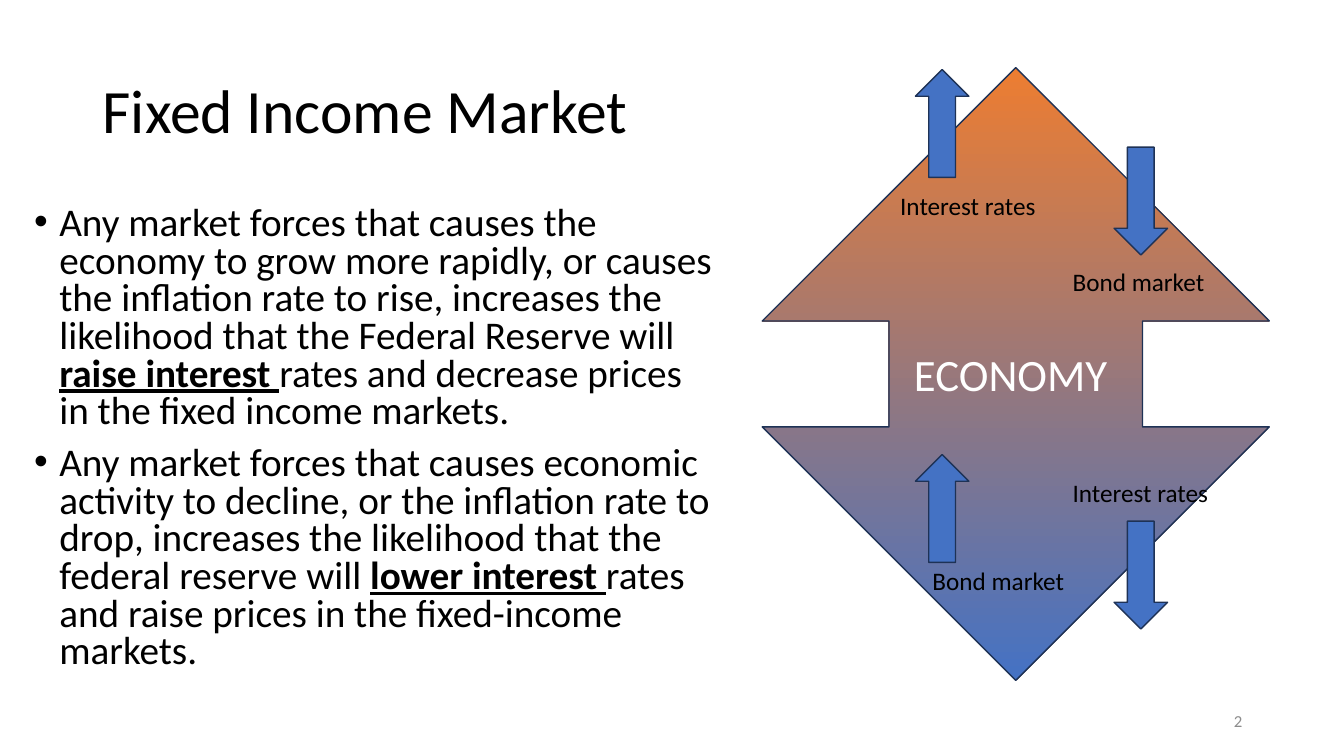
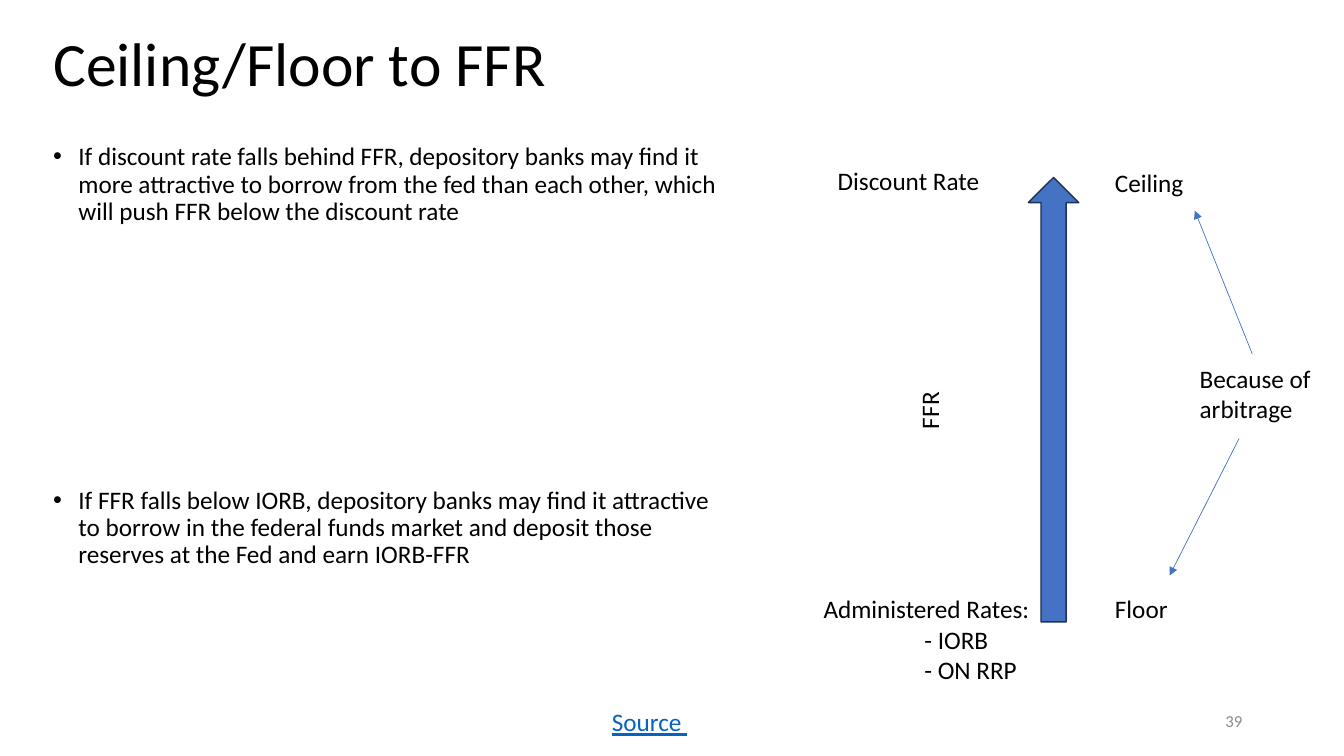
from pptx import Presentation
from pptx.dml.color import RGBColor
from pptx.enum.shapes import MSO_CONNECTOR, MSO_SHAPE
from pptx.enum.text import MSO_ANCHOR, MSO_AUTO_SIZE, PP_ALIGN
from pptx.oxml.ns import qn
from pptx.util import Inches, Pt
from lxml import etree

UP, DOWN, BOTH = MSO_SHAPE.UP_ARROW, MSO_SHAPE.DOWN_ARROW, MSO_SHAPE.UP_DOWN_ARROW
STRAIGHT = MSO_CONNECTOR.STRAIGHT
MIDDLE = MSO_ANCHOR.MIDDLE
CENTER, RIGHT = PP_ALIGN.CENTER, PP_ALIGN.RIGHT
FIT = MSO_AUTO_SIZE.SHAPE_TO_FIT_TEXT

THEME = {
    "font": "Calibri",
    "black": "000000", "white": "FFFFFF", "gray": "8C8C8C", "link": "0563C1",
    "blue": "4472C4", "navy": "1E3256", "orange": "ED7D31",
    "title": 44, "big": 32, "body": 28, "text": 18, "small": 12,
}

# Content: a bullet is a list of (words, stressed) runs
MARKET = {
    "title": ("Fixed Income Market", (0.92, 0.4, 11.5, 1.45)),
    "page": "2",
    "box": (0.24, 2, 6.95, 4.76),
    "style": {"size": "body", "spacing": 0.8, "gap": 10},
    "bullets": [
        [("Any market forces that causes the economy to grow more rapidly, or causes "
          "the inflation rate to rise, increases the likelihood that the Federal "
          "Reserve will ", False),
         ("raise interest ", True),
         ("rates and decrease prices in the fixed income markets.", False)],
        [("Any market forces that causes economic activity to decline, or the "
          "inflation rate to drop, increases the likelihood that the federal "
          "reserve will ", False),
         ("lower interest ", True),
         ("rates and raise prices in the fixed-income markets.", False)],
    ],
    "labels": [
        ("Interest rates", (8.83, 1.84, 1.56, 0.4)),
        ("Interest rates", (10.54, 4.69, 1.56, 0.4)),
        ("Bond market", (10.54, 2.59, 1.52, 0.4)),
        ("Bond market", (9.15, 5.56, 1.52, 0.4)),
    ],
}
ECONOMY = ("ECONOMY ", (7.56, 0.67, 5.03, 6.08))
MOVES = [(DOWN, 11.05, 1.46), (UP, 9.08, 0.69), (DOWN, 11.05, 5.17), (UP, 9.08, 4.51)]
MOVE_SIZE = (0.53, 1.07)

RATES = {
    "title": ("Ceiling/Floor to FFR", (0.43, 0.21, 5.43, 0.91)),
    "page": "39",
    "box": (0.43, 1.38, 6.86, 5.37),
    "style": {"size": "text", "spacing": 0.9, "gap": 187},
    "bullets": [
        [("If discount rate falls behind FFR, depository banks may find it more "
          "attractive to borrow from the fed than each other, which will push FFR "
          "below the discount rate", False)],
        [("If FFR falls below IORB, depository banks may find it attractive to "
          "borrow in the federal funds market and deposit those reserves at the "
          "Fed and earn IORB-FFR", False)],
    ],
    "labels": [
        ("Discount Rate", (8.21, 1.59, 1.62, 0.4)),
        ("Ceiling", (10.96, 1.61, 0.89, 0.4)),
        ("Floor", (10.96, 5.84, 0.73, 0.4)),
        ("Because of\narbitrage", (11.8, 3.55, 1.51, 0.71)),
    ],
}
ADMIN = ("Administered Rates:\n- IORB\n- ON RRP", (8.07, 5.84, 2.27, 1.01))
AXIS = ("FFR", (8.93, 3.87, 0.57, 0.4))
SOURCE = ("Source ", (5.97, 6.96, 0.96, 0.4))
SCALE = (10.2, 1.76, 0.5, 4.41)
LINKS = [((12.29, 4.35), (11.6, 5.71)), ((12.42, 3.51), (11.85, 2.09))]


# Shared helpers
def apply(item, values):
    for name, value in values.items():
        setattr(item, name, value)


def inches(values):
    return [Inches(v) for v in values]


def color(name):
    return RGBColor.from_string(THEME[name])


def ink(font, size="text", tone="black", **extra):
    apply(font, {"name": THEME["font"], "size": Pt(THEME[size]), **extra})
    font.color.rgb = color(tone)


def write(slide, text, box, frame=None, para=None, **look):
    shape = slide.shapes.add_textbox(*inches(box))
    body = shape.text_frame
    apply(body, {"word_wrap": True, **(frame or {})})
    body.text = text
    for line in body.paragraphs:
        apply(line, para or {})
        for run in line.runs:
            ink(run.font, **look)
    return shape


def label(slide, text, box, **look):
    return write(slide, text, box, {"word_wrap": False, "auto_size": FIT}, **look)


def bullets(slide, items, box, size, spacing, gap):
    body = slide.shapes.add_textbox(*inches(box)).text_frame
    body.word_wrap = True
    for i, runs in enumerate(items):
        line = body.add_paragraph() if i else body.paragraphs[0]
        props = line._p.get_or_add_pPr()
        props.set("marL", str(Inches(0.25)))
        props.set("indent", str(-Inches(0.25)))
        etree.SubElement(props, qn("a:buFont")).set("typeface", "Arial")
        etree.SubElement(props, qn("a:buChar")).set("char", "•")
        apply(line, {"line_spacing": spacing, "space_before": Pt(gap if i else 0)})
        for words, stress in runs:
            run = line.add_run()
            run.text = words
            ink(run.font, size, bold=stress, underline=stress)


def arrow(slide, kind, box):
    shape = slide.shapes.add_shape(kind, *inches(box))
    shape.shadow.inherit = False
    shape.fill.solid()
    shape.fill.fore_color.rgb = color("blue")
    shape.line.color.rgb = color("navy")
    shape.line.width = Pt(1)
    return shape


def pointer(slide, start, end):
    line = slide.shapes.add_connector(STRAIGHT, *inches(start + end))
    line.line.color.rgb = color("blue")
    line.line.width = Pt(0.5)
    etree.SubElement(line.line._get_or_add_ln(), qn("a:tailEnd")).set("type", "triangle")
    etree.SubElement(line._element.spPr, qn("a:effectLst"))


def start(deck, data):
    slide = deck.slides.add_slide(deck.slide_layouts[6])
    write(slide, *data["title"], {"vertical_anchor": MIDDLE},
          {"line_spacing": 0.9}, size="title")
    bullets(slide, data["bullets"], data["box"], **data["style"])
    write(slide, data["page"], (9.42, 6.95, 3, 0.4), {"vertical_anchor": MIDDLE},
          {"alignment": RIGHT}, size="small", tone="gray")
    return slide


def finish(slide, data):
    for text, box in data["labels"]:
        label(slide, text, box)


# Slides
def market(deck):
    slide = start(deck, MARKET)
    text, box = ECONOMY
    shape = arrow(slide, BOTH, box)
    shape.fill.gradient()
    shape.fill.gradient_angle = 270
    for stop, tone, place in zip(shape.fill.gradient_stops, ("orange", "blue"), (0, 1)):
        stop.color.rgb = color(tone)
        stop.position = place
    body = shape.text_frame
    body.text = text
    body.vertical_anchor = MIDDLE
    body.paragraphs[0].alignment = CENTER
    ink(body.paragraphs[0].runs[0].font, "big", "white")
    for kind, left, top in MOVES:
        arrow(slide, kind, (left, top) + MOVE_SIZE)
    finish(slide, MARKET)


def rates(deck):
    slide = start(deck, RATES)
    arrow(slide, UP, SCALE)
    admin = label(slide, *ADMIN)
    for line in admin.text_frame.paragraphs[1:]:
        line._p.get_or_add_pPr().set("marL", str(Inches(1)))
    label(slide, *AXIS).rotation = 270
    for first, last in LINKS:
        pointer(slide, first, last)
    finish(slide, RATES)
    label(slide, *SOURCE, tone="link", underline=True)


def main():
    deck = Presentation()
    apply(deck, {"slide_width": Inches(13.33), "slide_height": Inches(7.5)})
    market(deck)
    rates(deck)
    deck.save("out.pptx")


if __name__ == "__main__":
    main()
